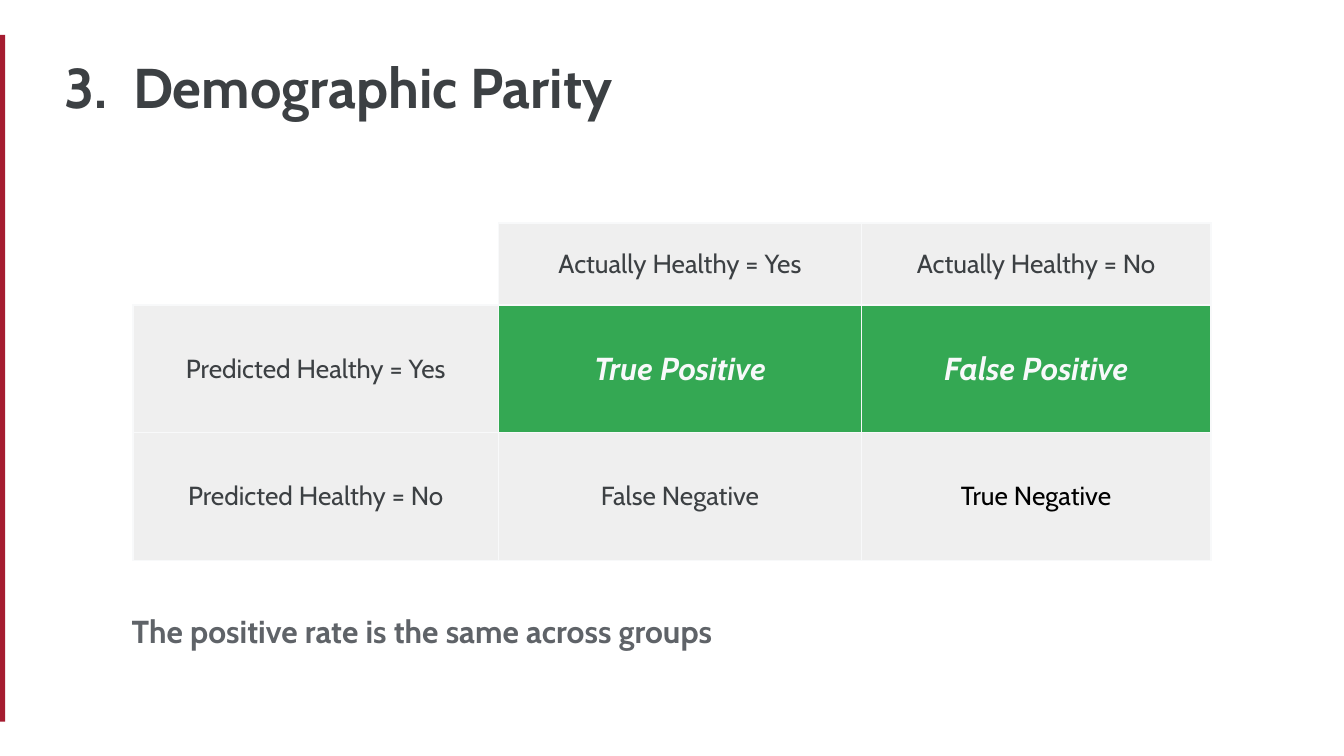
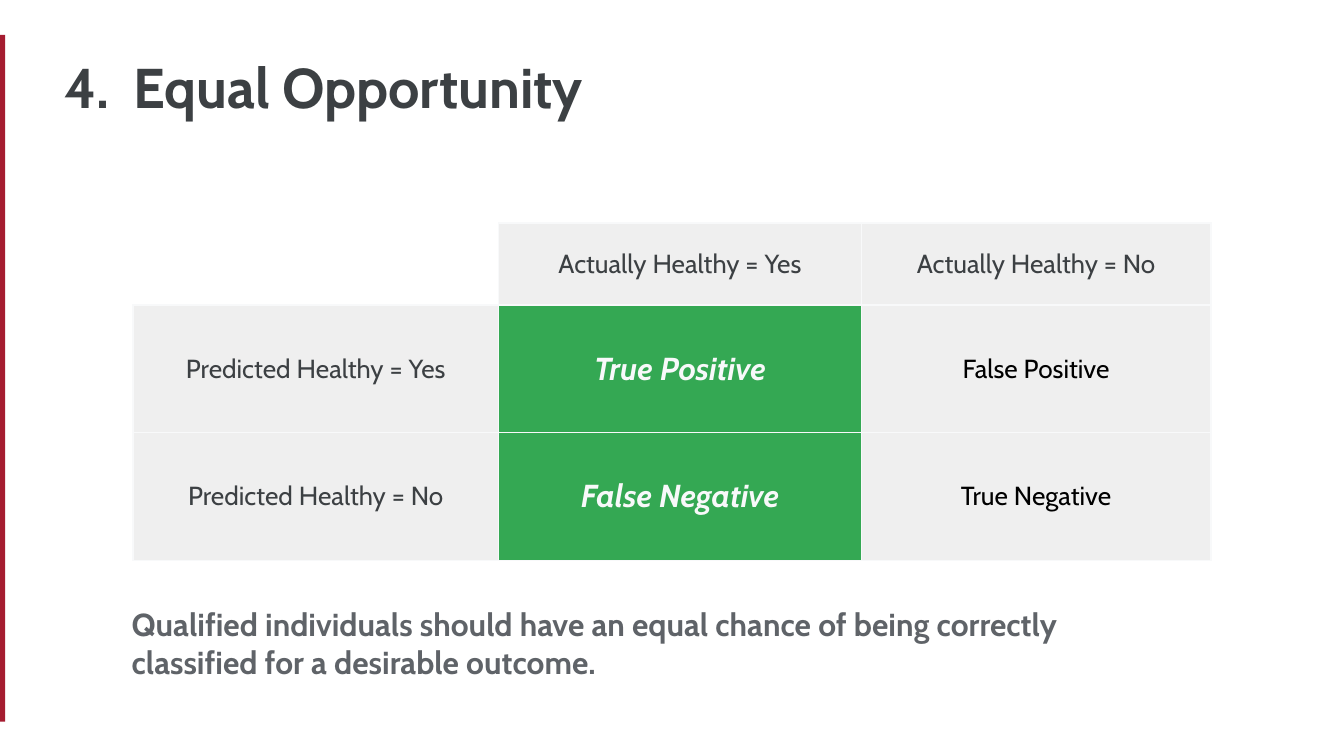
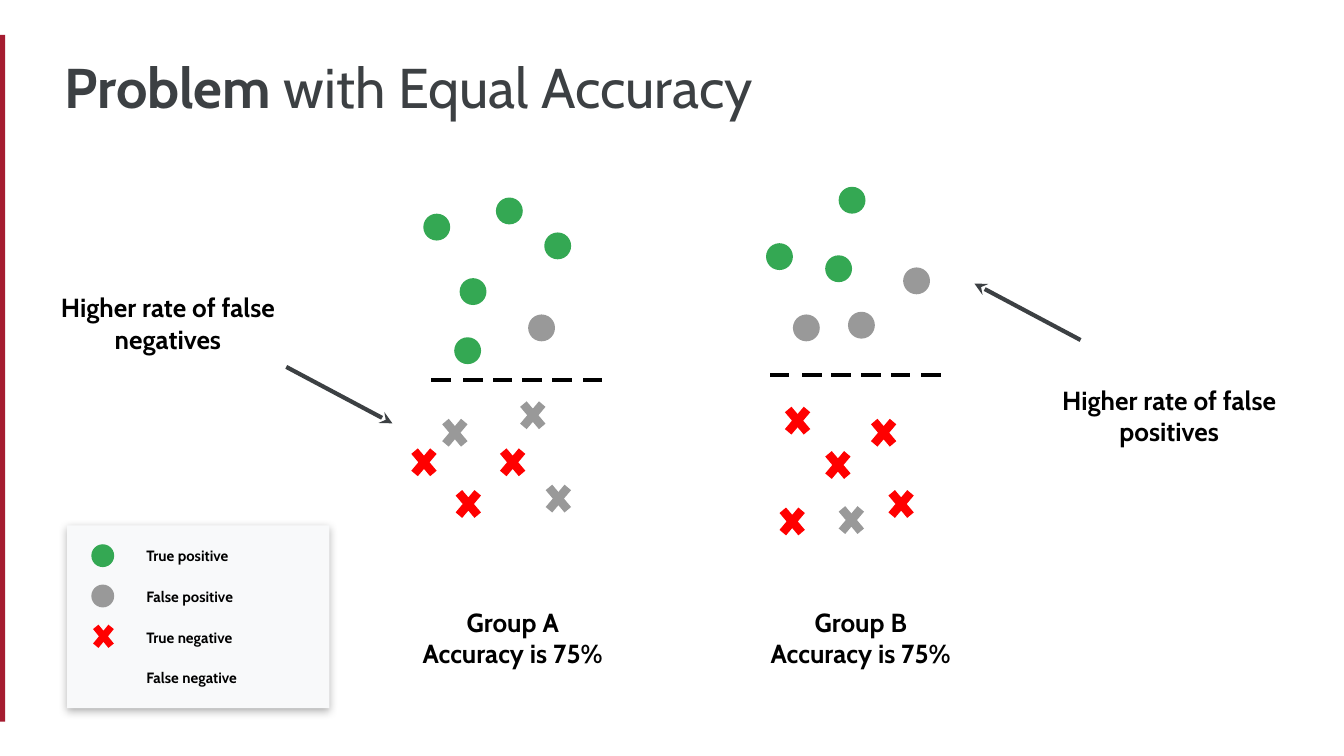
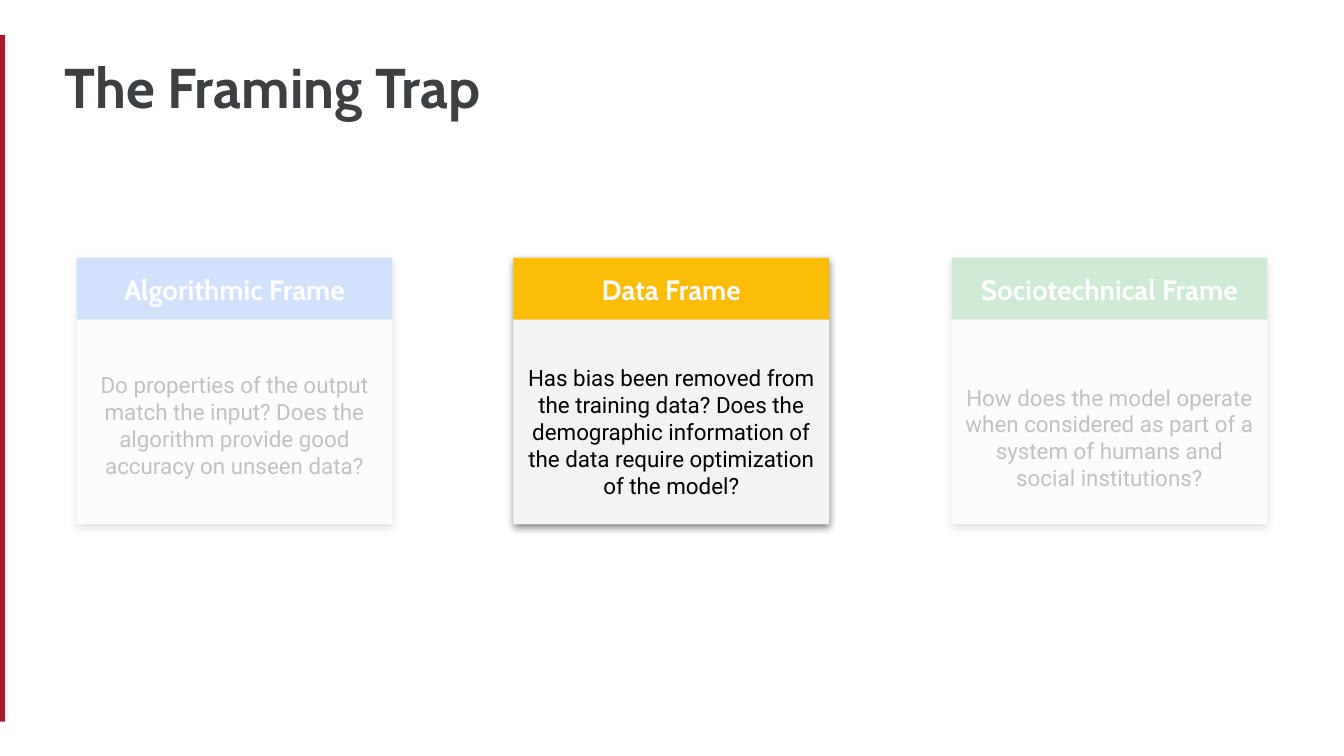
from pptx import Presentation
from pptx.dml.color import RGBColor
from pptx.enum.shapes import MSO_CONNECTOR, MSO_SHAPE
from pptx.enum.text import MSO_ANCHOR, MSO_AUTO_SIZE, PP_ALIGN
from pptx.oxml.ns import qn
from pptx.util import Pt
from lxml.etree import SubElement

# Shared look: 100 px to the inch, slides 16 to 9
PX = 9144
SLIDE_WIDTH = 1000
SLIDE_HEIGHT = SLIDE_WIDTH * 9 / 16
INSET = 10
COLORS = {
    "crimson": "A51C30", "ink": "3C4043", "muted": "5F6368", "black": "000000",
    "white": "FFFFFF", "paper": "F8F9FA", "cell": "EFEFEF", "panel": "F3F3F3",
    "green": "34A853", "gray": "999999", "red": "FF0000",
    "blue": "4285F4", "yellow": "FBBC05",
}
HEADING_FONT, TEXT_FONT = "Cabin", "Roboto"
EDGE_BAR = (-2, 26, 6, 511)
TITLE_BOX = (38, 29, 853, 60)
TITLE_TAB = 51

# Confusion matrix slides
MATRIX = [
    ["", "Actually Healthy = Yes", "Actually Healthy = No"],
    ["Predicted Healthy = Yes", "True Positive", "False Positive"],
    ["Predicted Healthy = No", "False Negative", "True Negative"],
]
MATRIX_COLUMNS = (272, 270, 260)
MATRIX_ROWS = (61, 95, 95)
MATRIX_CORNER = (99, 166)
CRITERIA = [
    {"title": "3.\tDemographic Parity",
     "highlight": {"True Positive", "False Positive"},
     "rule": "The positive rate is the same across groups",
     "rule_box": (38, 447, 646, 70)},
    {"title": "4.\tEqual Opportunity",
     "highlight": {"True Positive", "False Negative"},
     "rule": "Qualified individuals should have an equal chance of being "
             "correctly classified for a desirable outcome.",
     "rule_box": (38, 449, 767, 83)},
]

# Equal accuracy slide: left and top of each person
OUTCOMES = {
    "true positive": ("dot", "green", [
        (338, 251), (405, 173), (315, 159), (342, 207), (369, 147),
        (614, 190), (624, 139), (570, 181)]),
    "false positive": ("dot", "gray", [
        (393, 234), (590, 234), (631, 232), (672, 199)]),
    "true negative": ("cross", "red", [
        (335, 359), (302, 328), (368, 328), (576, 372), (644, 306),
        (657, 359), (580, 297), (610, 330)]),
    "false negative": ("cross", "gray", [
        (325, 306), (402, 355), (383, 293), (620, 371)]),
}
MARKS = {
    "dot": (MSO_SHAPE.FLOWCHART_CONNECTOR, 20, 20),
    "cross": (MSO_SHAPE.MATH_MULTIPLY, 27, 32),
}
THRESHOLDS = [(318, 277), (570, 273)]
DASH_OFFSETS = (0, 24, 46, 68, 90, 113)
DASH_SIZE = (20, 12)
CAPTIONS = [
    (["Group A", "Accuracy is 75%"], (297, 441, 169, 66)),
    (["Group B", "Accuracy is 75%"], (556, 441, 169, 66)),
    (["Higher rate of false negatives"], (33, 207, 184, 66)),
    (["Higher rate of false positives"], (778, 276, 184, 66)),
]
ARROWS = [(213, 273, 292, 315), (804, 253, 725, 211)]
LEGEND_BOX = (50, 391, 195, 136)
LEGEND_TEXT_BOX = (99, 397, 140, 123)
LEGEND_LABELS = ["True positive", "False positive", "True negative", "False negative"]
LEGEND_MARKS = [
    (MSO_SHAPE.FLOWCHART_CONNECTOR, (68, 405, 17, 17), "green"),
    (MSO_SHAPE.FLOWCHART_CONNECTOR, (68, 435, 17, 17), "gray"),
    (MSO_SHAPE.MATH_MULTIPLY, (66, 460, 22, 27), "red"),
]

# Framing trap slide: heading, colour, question, top inset
FRAMES = [
    ("Algorithmic Frame", "blue",
     "Do properties of the output match the input? Does the algorithm "
     "provide good accuracy on unseen data?", 15),
    ("Data Frame", "yellow",
     "Has bias been removed from the training data? Does the demographic "
     "information of the data require optimization of the model?", 24),
    ("Sociotechnical Frame", "green",
     "How does the model operate when considered as part of a system of "
     "humans and social institutions?", 33),
]
FRAME_LEFTS = (57, 382, 708)
FRAME_TOP, FRAME_WIDTH, HEADING_HEIGHT, QUESTION_HEIGHT = 192, 235, 46, 152
VEILS = [(28, 139, 294, 349), (664, 116, 336, 349)]


def emu(*lengths):
    return [round(length * PX) for length in lengths]


def rgb(color):
    return RGBColor.from_string(COLORS[color])


def add_run(paragraph, text, size, color, font=HEADING_FONT, bold=True, italic=False):
    run = paragraph.add_run()
    run.text = text
    run.font.name, run.font.size = font, Pt(size)
    run.font.bold, run.font.italic = bold, italic
    run.font.color.rgb = rgb(color)


def write(frame, paragraphs, size, color, font=HEADING_FONT, bold=True,
          align=PP_ALIGN.LEFT, anchor=MSO_ANCHOR.TOP, top=INSET, bottom=INSET, gap=0):
    """Fill a text frame; a paragraph is a string or a list of (text, bold) runs."""
    frame.word_wrap = True
    frame.auto_size = MSO_AUTO_SIZE.NONE
    frame.vertical_anchor = anchor
    frame.margin_left = frame.margin_right = INSET * PX
    frame.margin_top, frame.margin_bottom = emu(top, bottom)
    for index, content in enumerate(paragraphs):
        paragraph = frame.add_paragraph() if index else frame.paragraphs[0]
        paragraph.alignment = align
        paragraph.space_before = Pt(gap if index else 0)
        runs = [(content, bold)] if isinstance(content, str) else content
        for text, is_bold in runs:
            add_run(paragraph, text, size, color, font, is_bold)


def add_block(slide, preset, box, color, shadow=None, opacity=None):
    """Add a filled shape without outline; shadow and opacity are percentages."""
    block = slide.shapes.add_shape(preset, *emu(*box))
    block.fill.solid()
    block.fill.fore_color.rgb = rgb(color)
    block.line.fill.background()
    block.shadow.inherit = False
    properties = block.element.spPr
    if opacity:
        tint = properties.find(qn("a:solidFill")).find(qn("a:srgbClr"))
        SubElement(tint, qn("a:alpha"), val=str(opacity * 1000))
    if shadow:
        outer = SubElement(properties.find(qn("a:effectLst")), qn("a:outerShdw"),
                           blurRad=str(Pt(4.5)), dist=str(Pt(1.5)), dir="5400000",
                           algn="t", rotWithShape="0")
        shade = SubElement(outer, qn("a:srgbClr"), val=COLORS["black"])
        SubElement(shade, qn("a:alpha"), val=str(shadow * 1000))
    return block


def place(shape, box):
    shape.left, shape.top, shape.width, shape.height = emu(*box)


def add_titled_slide(prs, title, layout=5):
    slide = prs.slides.add_slide(prs.slide_layouts[layout])
    heading = slide.shapes.title
    place(heading, TITLE_BOX)
    tabs = SubElement(heading.text_frame.paragraphs[0]._p.get_or_add_pPr(), qn("a:tabLst"))
    SubElement(tabs, qn("a:tab"), pos=str(TITLE_TAB * PX), algn="l")
    write(heading.text_frame, [title], 30, "ink")
    return slide


def add_edge_bar(prs, slide):
    """Move one bar to the master so that every slide shows it."""
    bar = add_block(slide, MSO_SHAPE.RECTANGLE, EDGE_BAR, "crimson").element
    bar.nvSpPr.cNvPr.set("id", "99")
    prs.slide_master.shapes.element.insert(2, bar)


def add_borders(cell, open_sides=()):
    properties = cell._tc.get_or_add_tcPr()
    for side in ("lnL", "lnR", "lnT", "lnB"):
        border = SubElement(properties, qn(f"a:{side}"), w=str(Pt(0.75)))
        if side in open_sides:
            SubElement(border, qn("a:noFill"))
        else:
            fill = SubElement(border, qn("a:solidFill"))
            SubElement(fill, qn("a:srgbClr"), val=COLORS["paper"])


def add_matrix(slide, highlight):
    table = slide.shapes.add_table(
        len(MATRIX_ROWS), len(MATRIX_COLUMNS),
        *emu(*MATRIX_CORNER, sum(MATRIX_COLUMNS), sum(MATRIX_ROWS))).table
    table.first_row = table.horz_banding = False
    for column, width in zip(table.columns, MATRIX_COLUMNS):
        column.width = width * PX
    for row, height in zip(table.rows, MATRIX_ROWS):
        row.height = height * PX
    for r, labels in enumerate(MATRIX):
        for c, label in enumerate(labels):
            cell = table.cell(r, c)
            if not label:
                add_borders(cell, open_sides=("lnL", "lnT"))
                cell.fill.background()
                continue
            chosen = label in highlight
            outcome_in_last_column = r > 0 and c == len(labels) - 1
            plain = "black" if outcome_in_last_column else "ink"
            add_borders(cell)
            cell.fill.solid()
            cell.fill.fore_color.rgb = rgb("green" if chosen else "cell")
            cell.vertical_anchor = MSO_ANCHOR.MIDDLE
            cell.margin_left = cell.margin_right = INSET * PX
            cell.margin_top = cell.margin_bottom = INSET * PX
            paragraph = cell.text_frame.paragraphs[0]
            paragraph.alignment = PP_ALIGN.CENTER
            add_run(paragraph, label, 17 if chosen else 14,
                    "paper" if chosen else plain, bold=chosen, italic=chosen)


def build_criterion(prs, criterion):
    slide = add_titled_slide(prs, criterion["title"], layout=1)
    add_matrix(slide, criterion["highlight"])
    rule = slide.placeholders[1]
    place(rule, criterion["rule_box"])
    indent = rule.text_frame.paragraphs[0]._p.get_or_add_pPr()
    indent.set("marL", str(50 * PX))
    indent.set("indent", "0")
    SubElement(indent, qn("a:buNone"))
    write(rule.text_frame, [criterion["rule"]], 17, "muted",
          anchor=MSO_ANCHOR.MIDDLE, top=0, bottom=25)
    return slide


def add_arrow(slide, ends):
    arrow = slide.shapes.add_connector(MSO_CONNECTOR.STRAIGHT, *emu(*ends))
    arrow.line.color.rgb = rgb("ink")
    arrow.line.width = Pt(2.25)
    SubElement(arrow.line._get_or_add_ln(), qn("a:tailEnd"), type="stealth")
    SubElement(arrow.element.spPr, qn("a:effectLst"))


def build_equal_accuracy(prs):
    slide = add_titled_slide(prs, [("Problem", True), (" with Equal Accuracy", False)])
    # People and decision thresholds
    for mark, color, people in OUTCOMES.values():
        preset, width, height = MARKS[mark]
        for left, top in people:
            add_block(slide, preset, (left, top, width, height), color)
    for left, top in THRESHOLDS:
        for offset in DASH_OFFSETS:
            add_block(slide, MSO_SHAPE.MATH_MINUS, (left + offset, top, *DASH_SIZE), "black")
    # Captions and arrows
    for lines, box in CAPTIONS:
        caption = slide.shapes.add_textbox(*emu(*box))
        write(caption.text_frame, lines, 14, "black", align=PP_ALIGN.CENTER)
    for ends in ARROWS:
        add_arrow(slide, ends)
    # Legend
    legend = add_block(slide, MSO_SHAPE.ROUNDED_RECTANGLE, LEGEND_BOX, "paper", shadow=30)
    legend.adjustments[0] = 0
    for preset, box, color in LEGEND_MARKS:
        add_block(slide, preset, box, color)
    labels = slide.shapes.add_textbox(*emu(*LEGEND_TEXT_BOX))
    write(labels.text_frame, LEGEND_LABELS, 8, "black", gap=12.2)


def build_framing_trap(prs):
    slide = add_titled_slide(prs, "The Framing Trap")
    for left, (name, color, question, top_inset) in zip(FRAME_LEFTS, FRAMES):
        split = FRAME_TOP + HEADING_HEIGHT
        add_block(slide, MSO_SHAPE.RECTANGLE,
                  (left, FRAME_TOP, FRAME_WIDTH, HEADING_HEIGHT + QUESTION_HEIGHT),
                  "cell", shadow=50)
        heading = add_block(slide, MSO_SHAPE.RECTANGLE,
                            (left, FRAME_TOP, FRAME_WIDTH, HEADING_HEIGHT), color)
        write(heading.text_frame, [name], 15, "paper",
              align=PP_ALIGN.CENTER, anchor=MSO_ANCHOR.MIDDLE)
        body = add_block(slide, MSO_SHAPE.RECTANGLE,
                         (left, split, FRAME_WIDTH, QUESTION_HEIGHT), "panel")
        write(body.text_frame, [question], 12, "black", font=TEXT_FONT, bold=False,
              align=PP_ALIGN.CENTER, anchor=MSO_ANCHOR.MIDDLE, top=top_inset)
    # Veils that fade the outer frames
    for box in VEILS:
        add_block(slide, MSO_SHAPE.RECTANGLE, box, "white", opacity=76)


def main():
    prs = Presentation()
    prs.slide_width, prs.slide_height = emu(SLIDE_WIDTH, SLIDE_HEIGHT)
    slides = [build_criterion(prs, criterion) for criterion in CRITERIA]
    add_edge_bar(prs, slides[0])
    build_equal_accuracy(prs)
    build_framing_trap(prs)
    prs.save("out.pptx")


if __name__ == "__main__":
    main()
